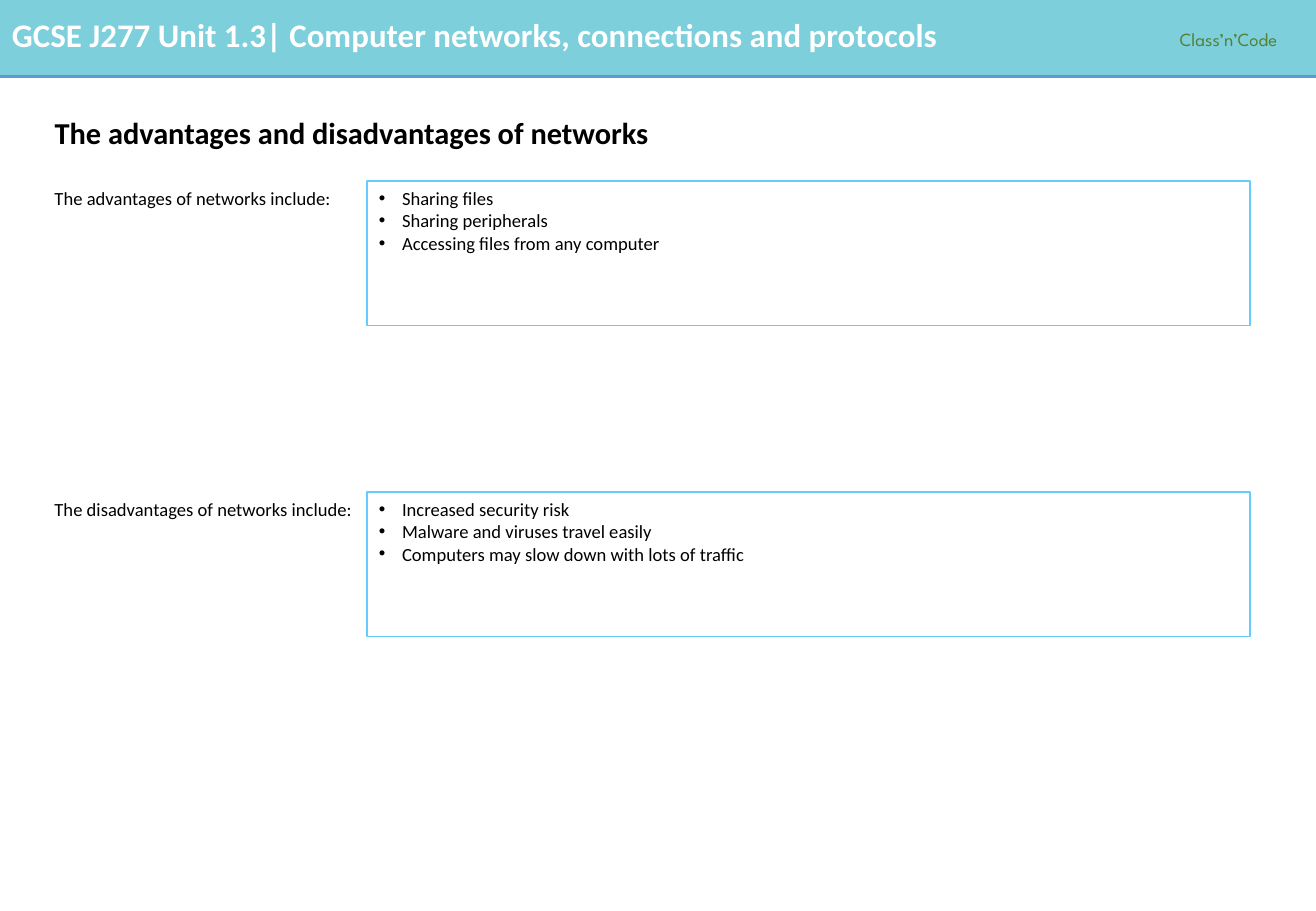
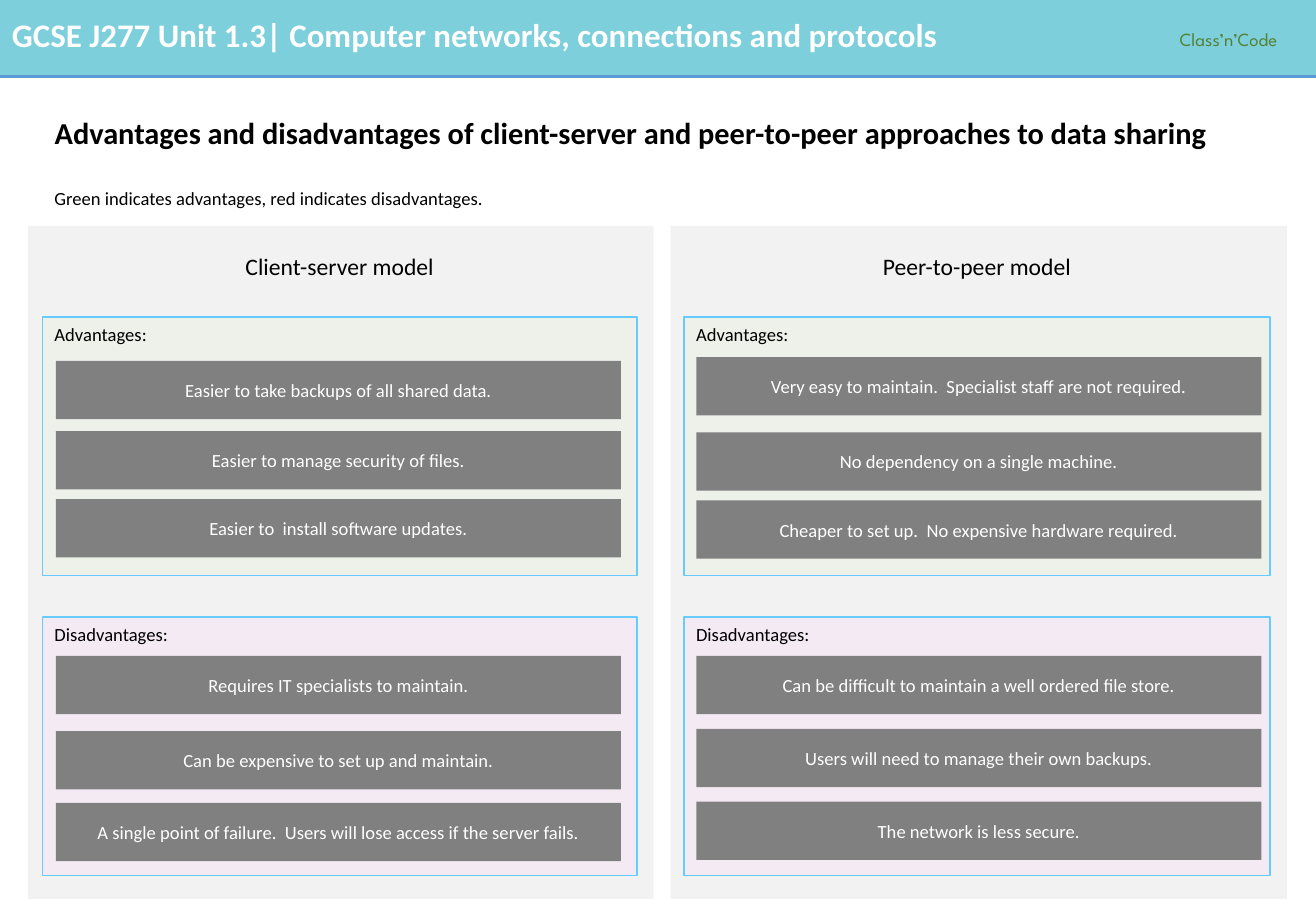
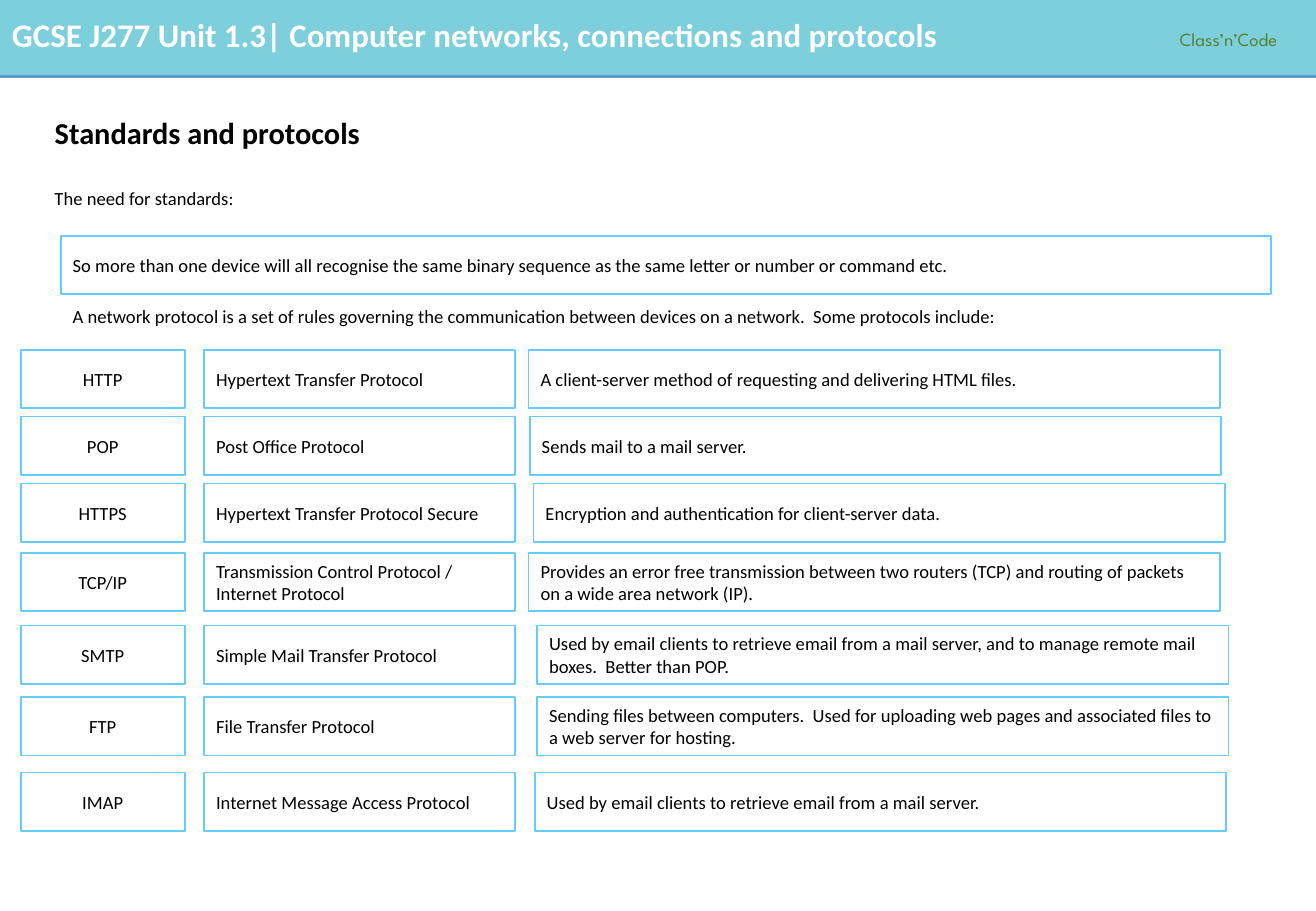
from lxml import etree
from pptx import Presentation
from pptx.dml.color import RGBColor
from pptx.enum import shapes, text
from pptx.oxml.ns import qn
from pptx.util import Inches, Pt

COLOURS = {
    "band": "7CCFDB",
    "rule": "5B9BD5",
    "brand": "548235",
    "outline": "66CCFF",
    "panel": "F2F2F2",
    "bar": "808080",
    "advantage": "E2F0D9",
    "disadvantage": "FFCCFF",
    "white": "FFFFFF",
    "black": "000000",
}
FONT = "Calibri"
SLIDE_WIDTH, SLIDE_HEIGHT = 10.83, 7.5
BAND_HEIGHT = 0.63
LEFT_MARGIN = 0.35
LABEL_TOP, LABEL_HEIGHT = 1.49, 0.29
BOX_HEIGHT = 0.48
CENTRE = text.PP_ALIGN.CENTER
MIDDLE, TOP = text.MSO_ANCHOR.MIDDLE, text.MSO_ANCHOR.TOP

NETWORK_POINTS = [
    (1.49, 2.49, "The advantages of networks include:",
     ["Sharing files", "Sharing peripherals", "Accessing files from any computer"]),
    (4.05, 2.67, "The disadvantages of networks include:",
     ["Increased security risk", "Malware and viruses travel easily",
      "Computers may slow down with lots of traffic"]),
]

# Model name, panel left and width, box left and width, bar left,
# then (bar top, bar text) pairs for each side of the argument.
MODELS = [
    ("Client-server model", 0.23, 5.15, 0.35, 4.89, 0.46,
     [(2.97, "Easier to take backups of all shared data."),
      (3.55, "Easier to manage security of files."),
      (4.11, "Easier to  install software updates.")],
     [(5.4, "Requires IT specialists to maintain."),
      (6.02, "Can be expensive to set up and maintain."),
      (6.61, "A single point of failure.  Users will lose access if the server fails.")]),
    ("Peer-to-peer model", 5.52, 5.07, 5.63, 4.82, 5.73,
     [(2.94, "Very easy to maintain.  Specialist staff are not required."),
      (3.56, "No dependency on a single machine."),
      (4.12, "Cheaper to set up.  No expensive hardware required.")],
     [(5.4, "Can be difficult to maintain a well ordered file store."),
      (6.0, "Users will need to manage their own backups."),
      (6.6, "The network is less secure.")]),
]

# Row top, left of the description, then the three texts of the row.
PROTOCOLS = [
    (2.88, 4.35, "HTTP", "Hypertext Transfer Protocol",
     "A client-server method of requesting and delivering HTML files."),
    (3.43, 4.36, "POP", "Post Office Protocol", "Sends mail to a mail server."),
    (3.98, 4.39, "HTTPS", "Hypertext Transfer Protocol Secure",
     "Encryption and authentication for client-server data."),
    (4.55, 4.35, "TCP/IP", "Transmission Control Protocol / Internet Protocol",
     "Provides an error free transmission between two routers (TCP) and routing of "
     "packets on a wide area network (IP)."),
    (5.15, 4.42, "SMTP", "Simple Mail Transfer Protocol",
     "Used by email clients to retrieve email from a mail server, and to manage remote "
     "mail boxes.  Better than POP."),
    (5.74, 4.42, "FTP", "File Transfer Protocol",
     "Sending files between computers.  Used for uploading web pages and associated "
     "files to a web server for hosting."),
    (6.36, 4.4, "IMAP", "Internet Message Access Protocol",
     "Used by email clients to retrieve email from a mail server."),
]


def colour(name):
    return RGBColor.from_string(COLOURS[name])


def style_paragraph(paragraph, size=11, color="black", bold=False, align=None, font=FONT):
    paragraph.alignment = align
    for run in paragraph.runs:
        run.font.name = font
        run.font.size = Pt(size)
        run.font.bold = bold
        run.font.color.rgb = colour(color)


def add_label(slide, left, top, width, wording, height=LABEL_HEIGHT, wrap=False,
              anchor=TOP, **style):
    label = slide.shapes.add_textbox(Inches(left), Inches(top), Inches(width), Inches(height))
    frame = label.text_frame
    frame.word_wrap = wrap
    frame.vertical_anchor = anchor
    frame.text = wording
    style_paragraph(frame.paragraphs[0], **style)
    return label


def add_box(slide, left, top, width, height, fill=None, opacity=None, outline=None,
            lines=(), anchor=MIDDLE, **style):
    """Add a rectangle with one paragraph for each of its lines."""
    box = slide.shapes.add_shape(shapes.MSO_SHAPE.RECTANGLE, Inches(left), Inches(top),
                                 Inches(width), Inches(height))
    box.shadow.inherit = False
    if fill:
        box.fill.solid()
        box.fill.fore_color.rgb = colour(fill)
    else:
        box.fill.background()
    if opacity:
        solid = box.element.spPr.find(qn("a:solidFill"))
        etree.SubElement(solid[0], qn("a:alpha"), val=str(opacity * 1000))
    if outline:
        box.line.color.rgb = colour(outline)
        box.line.width = Pt(1)
    else:
        box.line.fill.background()
    frame = box.text_frame
    frame.word_wrap = True
    frame.vertical_anchor = anchor
    frame.text = "\n".join(lines)
    for paragraph in frame.paragraphs:
        style_paragraph(paragraph, **{"align": text.PP_ALIGN.LEFT, **style})
    return box


def add_bullets(shape, indent=0.19):
    for paragraph in shape.text_frame.paragraphs:
        properties = paragraph._p.get_or_add_pPr()
        properties.set("marL", str(Inches(indent)))
        properties.set("indent", str(-Inches(indent)))
        etree.SubElement(properties, qn("a:buFont"), typeface="Arial")
        etree.SubElement(properties, qn("a:buChar"), char="•")


def add_rule(slide, top):
    rule = slide.shapes.add_connector(shapes.MSO_CONNECTOR.STRAIGHT, 0, Inches(top),
                                      Inches(SLIDE_WIDTH), Inches(top))
    rule.line.color.rgb = colour("rule")
    rule.line.width = Pt(2.25)
    etree.SubElement(rule.element.spPr, qn("a:effectLst"))
    return rule


def build_header(presentation, layout):
    """Draw the header on a scratch slide, then move it to the shared layout."""
    slide = presentation.slides[0]
    header = [
        add_box(slide, 0, 0, SLIDE_WIDTH, BAND_HEIGHT, fill="band"),
        add_rule(slide, BAND_HEIGHT),
        add_label(slide, 0, 0.07, 9.48,
                  "GCSE J277 Unit 1.3| Computer networks, connections and protocols",
                  height=0.43, wrap=True, size=19.5, color="white", bold=True),
        add_label(slide, 9.61, 0.17, 1.22, "Class’n’Code", wrap=True,
                  color="brand", font="League Spartan"),
    ]
    header[-1].text_frame.paragraphs[0].line_spacing = 1.07
    for shape in header:
        layout.shapes.element.append(shape.element)


def add_titled_slide(presentation, layout, wording):
    slide = presentation.slides.add_slide(layout)
    title = slide.shapes.title
    title.left, title.top = Inches(LEFT_MARGIN), Inches(0.83)
    title.width, title.height = Inches(10.1), Inches(0.56)
    frame = title.text_frame
    frame.word_wrap = True
    frame.vertical_anchor = MIDDLE
    frame.text = wording
    style_paragraph(frame.paragraphs[0], size=18, bold=True, align=text.PP_ALIGN.LEFT)
    frame.paragraphs[0].line_spacing = 0.9
    return slide


def fill_networks(slide):
    for top, label_width, label, points in NETWORK_POINTS:
        add_label(slide, LEFT_MARGIN, top, label_width, label)
        box = add_box(slide, 3.02, top, 7.27, 1.19, outline="outline", lines=points, anchor=TOP)
        add_bullets(box)


def fill_models(slide):
    add_label(slide, LEFT_MARGIN, LABEL_TOP, 3.77,
              "Green indicates advantages, red indicates disadvantages.")
    for name, panel_left, panel_width, left, width, bar_left, pros, cons in MODELS:
        add_box(slide, panel_left, 1.86, panel_width, 5.54, fill="panel")
        add_label(slide, left, 1.95, width, name, height=BOX_HEIGHT, wrap=True,
                  anchor=MIDDLE, size=14, align=CENTRE)
        for top, heading, fill, opacity, bars in (
                (2.61, "Advantages:", "advantage", 30, pros),
                (5.08, "Disadvantages:", "disadvantage", 20, cons)):
            add_box(slide, left, top, width, 2.13, fill=fill, opacity=opacity,
                    outline="outline", lines=[heading], anchor=TOP)
            for bar_top, wording in bars:
                add_box(slide, bar_left, bar_top, 4.65, BOX_HEIGHT, fill="bar",
                        lines=[wording], color="white", align=CENTRE)


def fill_protocols(slide):
    add_label(slide, LEFT_MARGIN, LABEL_TOP, 1.69, "The need for standards:")
    add_box(slide, 0.5, 1.94, 9.96, BOX_HEIGHT, outline="outline",
            lines=["So more than one device will all recognise the same binary sequence "
                   "as the same letter or number or command etc."])
    add_label(slide, 0.5, 2.46, 7.85,
              "A network protocol is a set of rules governing the communication between "
              "devices on a network.  Some protocols include:")
    for top, description_left, acronym, name, description in PROTOCOLS:
        for left, width, wording, align in (
                (0.17, 1.35, acronym, CENTRE),
                (1.68, 2.56, name, text.PP_ALIGN.LEFT),
                (description_left, 5.69, description, text.PP_ALIGN.LEFT)):
            add_box(slide, left, top, width, BOX_HEIGHT, outline="outline",
                    lines=[wording], align=align)


def main():
    presentation = Presentation()
    presentation.slide_width = Inches(SLIDE_WIDTH)
    presentation.slide_height = Inches(SLIDE_HEIGHT)
    layout = presentation.slide_layouts.get_by_name("Title Only")
    contents = [
        ("The advantages and disadvantages of networks", fill_networks),
        ("Advantages and disadvantages of client-server and peer-to-peer approaches "
         "to data sharing", fill_models),
        ("Standards and protocols", fill_protocols),
    ]
    slides = [add_titled_slide(presentation, layout, title) for title, _ in contents]
    build_header(presentation, layout)
    for slide, (_, fill_slide) in zip(slides, contents):
        fill_slide(slide)
    presentation.save("out.pptx")


if __name__ == "__main__":
    main()
